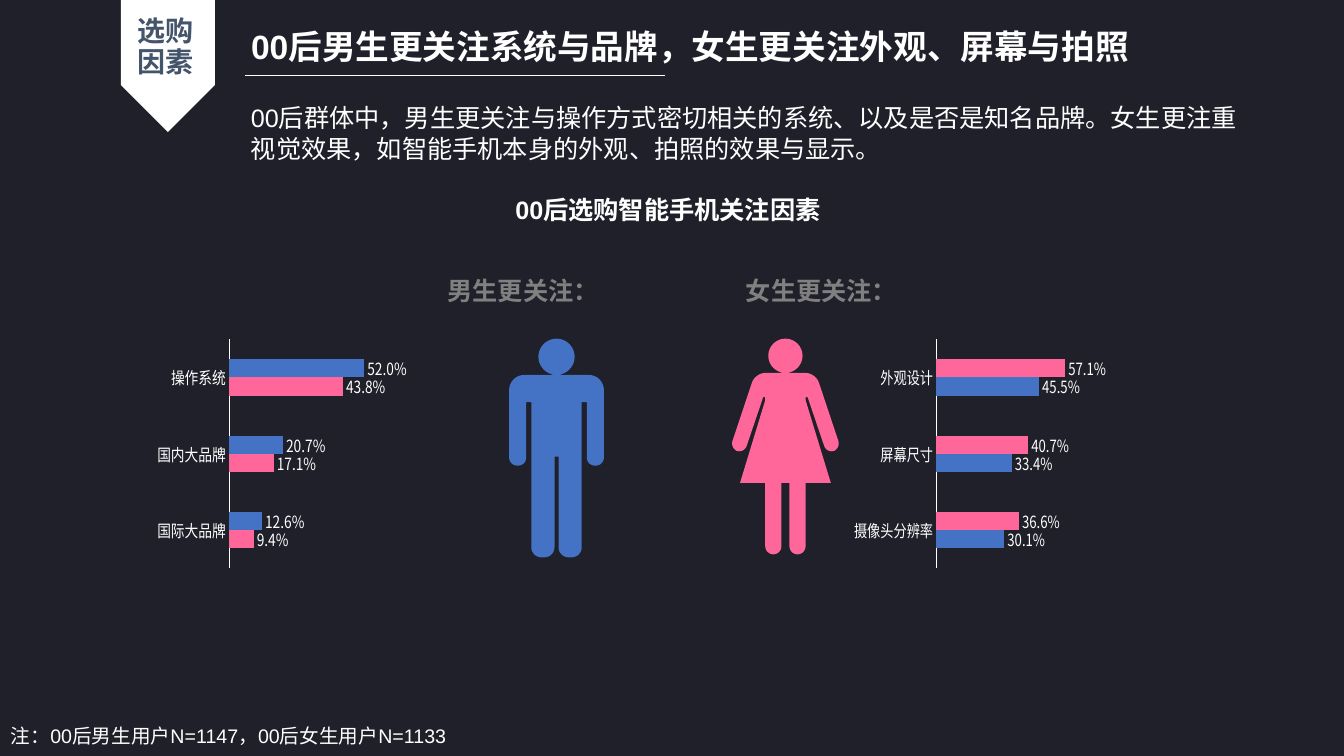
from lxml import etree
from pptx import Presentation
from pptx.chart.data import CategoryChartData
from pptx.dml.color import RGBColor
from pptx.enum.chart import XL_CHART_TYPE, XL_LABEL_POSITION, XL_TICK_LABEL_POSITION, XL_TICK_MARK
from pptx.enum.shapes import MSO_CONNECTOR, MSO_SHAPE
from pptx.enum.text import MSO_ANCHOR, MSO_AUTO_SIZE, PP_ALIGN
from pptx.oxml import parse_xml
from pptx.oxml.ns import nsdecls, qn
from pptx.util import Inches, Pt

BAR = XL_CHART_TYPE.BAR_CLUSTERED
OUTSIDE_END = XL_LABEL_POSITION.OUTSIDE_END
NEXT_TO_AXIS = XL_TICK_LABEL_POSITION.NEXT_TO_AXIS
NO_TICK = XL_TICK_MARK.NONE
STRAIGHT = MSO_CONNECTOR.STRAIGHT
PENTAGON = MSO_SHAPE.PENTAGON
MIDDLE, TOP = MSO_ANCHOR.MIDDLE, MSO_ANCHOR.TOP
FIXED, GROW = MSO_AUTO_SIZE.NONE, MSO_AUTO_SIZE.SHAPE_TO_FIT_TEXT
LEFT, CENTER = PP_ALIGN.LEFT, PP_ALIGN.CENTER

LATIN, CHINESE = "Arial", "Noto Sans CJK SC"
WHITE, BACKGROUND, GRAY, SLATE = "FFFFFF", "1F2029", "808080", "44546A"
BOYS, GIRLS = "4472C4", "FF6699"
PERCENT = "###0.0%"
SECTION_HEADER = 2

# Right half of each figure: offset from its centre line, height, corner radius
MAN_HALF = [
    (0.47, 3.72, 0.15), (0.47, 4.62, 0.08), (0.3, 4.62, 0.08), (0.3, 3.99, 0),
    (0.25, 3.99, 0), (0.25, 5.53, 0.1), (0.02, 5.53, 0.1), (0.02, 4.53, 0),
]
WOMAN_HALF = [
    (0.3, 3.7, 0.1), (0.55, 4.45, 0.08), (0.41, 4.5, 0.08), (0.22, 3.94, 0),
    (0.2, 3.94, 0), (0.2, 3.97, 0), (0.45, 4.79, 0), (0.2, 4.79, 0),
    (0.2, 5.5, 0.08), (0.04, 5.5, 0.08), (0.04, 4.79, 0),
]


def color(value):
    return RGBColor.from_string(value)


def set_attributes(target, values):
    for name, value in values.items():
        setattr(target, name, value)


def set_font(font, size, name=LATIN, fill=WHITE, bold=False):
    set_attributes(font, {"size": Pt(size), "name": name, "bold": bold})
    font.color.rgb = color(fill)


def place(shape, box):
    lengths = (Inches(value) for value in box)
    set_attributes(shape, dict(zip(("left", "top", "width", "height"), lengths)))


def write(shape, text, size, name=LATIN, fill=WHITE, bold=False,
          align=LEFT, anchor=TOP, fit=GROW, spacing=1.0):
    frame = shape.text_frame
    set_attributes(frame, {"word_wrap": True, "auto_size": fit, "vertical_anchor": anchor})
    paragraph = frame.paragraphs[0]
    set_attributes(paragraph, {"alignment": align, "line_spacing": spacing, "space_before": Pt(0)})
    run = paragraph.add_run()
    run.text = text
    set_font(run.font, size, name, fill, bold)
    east_asian = etree.SubElement(run._r.get_or_add_rPr(), qn("a:ea"))
    east_asian.set("typeface", CHINESE)


def add_text(slide, box, text, size, **formats):
    shape = slide.shapes.add_textbox(*(Inches(value) for value in box))
    write(shape, text, size, **formats)


def add_banner(slide):
    banner = slide.shapes.add_shape(PENTAGON, 0, 0, 0, 0)
    place(banner, (1.01, 0.19, 1.31, 0.93))
    banner.rotation = 90
    banner.shadow.inherit = False
    banner.fill.solid()
    banner.fill.fore_color.rgb = color(WHITE)
    banner.line.fill.background()
    slide.shapes._spTree.insert(2, banner._element)  # behind the placeholders


def add_rule(slide):
    rule = slide.shapes.add_connector(STRAIGHT, Inches(2.43), Inches(0.75), Inches(6.6), Inches(0.75))
    rule.line.color.rgb = color(WHITE)
    rule.line.width = Pt(0.5)
    etree.SubElement(rule._element.spPr, qn("a:effectLst"))


def toward(start, end, share):
    return tuple(a + (b - a) * share for a, b in zip(start, end))


def rounded_outline(corners, steps=8):
    """Points, as lengths, of a closed polygon whose corners (x, y, radius) are rounded."""
    points = []
    for index, (x, y, radius) in enumerate(corners):
        corner = (x, y)
        if not radius:
            points.append(corner)
            continue
        ends = []
        for neighbor in (corners[index - 1], corners[(index + 1) % len(corners)]):
            distance = ((neighbor[0] - x) ** 2 + (neighbor[1] - y) ** 2) ** 0.5
            ends.append(toward(corner, neighbor[:2], radius / distance))
        start, end = ends
        first, second = toward(start, corner, 0.55), toward(end, corner, 0.55)
        for step in range(steps + 1):
            t = step / steps
            weights = ((1 - t) ** 3, 3 * t * (1 - t) ** 2, 3 * t * t * (1 - t), t ** 3)
            curve = zip(start, first, second, end)
            points.append(tuple(sum(w * v for w, v in zip(weights, values)) for values in curve))
    return [(Inches(x), Inches(y)) for x, y in points]


def add_figure(slide, center, half, head_center, head_radius, fill):
    right = [(center + dx, y, radius) for dx, y, radius in half]
    left = [(center - dx, y, radius) for dx, y, radius in reversed(half)]
    signs = ((-1, -1), (1, -1), (1, 1), (-1, 1))
    head = [(center + sx * head_radius, head_center + sy * head_radius, head_radius) for sx, sy in signs]
    body_points, head_points = rounded_outline(right + left), rounded_outline(head)
    builder = slide.shapes.build_freeform(*body_points[0])
    builder.add_line_segments(body_points[1:], close=True)
    builder.move_to(*head_points[0])
    builder.add_line_segments(head_points[1:], close=True)
    figure = builder.convert_to_shape()
    figure.shadow.inherit = False
    figure.fill.solid()
    figure.fill.fore_color.rgb = color(fill)
    figure.line.fill.background()


def set_plot_layout(chart, box):
    parts = "".join(f'<c:{name} val="{value}"/>' for name, value in zip("xywh", box))
    layout = parse_xml(
        f'<c:layout {nsdecls("c")}><c:manualLayout><c:layoutTarget val="inner"/>'
        f'<c:xMode val="edge"/><c:yMode val="edge"/>{parts}</c:manualLayout></c:layout>')
    plot_area = chart._chartSpace.chart.plotArea
    for old in plot_area.findall(qn("c:layout")):
        plot_area.remove(old)
    plot_area.insert(0, layout)


def add_bars(slide, left, plot_width, categories, series):
    data = CategoryChartData(number_format=PERCENT)
    data.categories = categories
    for name, values, _ in series:
        data.add_series(name, values)
    box = (Inches(value) for value in (left, 3.29, 3.4, 2.42))
    chart = slide.shapes.add_chart(BAR, *box, data).chart
    set_attributes(chart, {"has_legend": False, "has_title": False})
    set_font(chart.font, 12, CHINESE)
    set_plot_layout(chart, (0.033, 0.031, plot_width, 0.94))

    axis = chart.category_axis
    set_attributes(axis, {
        "reverse_order": True, "major_tick_mark": NO_TICK, "minor_tick_mark": NO_TICK,
        "tick_label_position": NEXT_TO_AXIS, "has_major_gridlines": False})
    set_font(axis.tick_labels.font, 12, CHINESE)
    axis.format.line.color.rgb = color(WHITE)
    axis.format.line.width = Pt(0.75)
    set_attributes(chart.value_axis, {
        "visible": False, "has_major_gridlines": False, "minimum_scale": 0, "maximum_scale": 0.6})

    plot = chart.plots[0]
    set_attributes(plot, {"gap_width": 219, "overlap": 0, "vary_by_categories": False})
    for bars, (_, _, fill) in zip(plot.series, series):
        bars.format.fill.solid()
        bars.format.fill.fore_color.rgb = color(fill)
        labels = bars.data_labels
        set_attributes(labels, {
            "show_value": True, "number_format": PERCENT,
            "number_format_is_linked": False, "position": OUTSIDE_END})
        set_font(labels.font, 12, CHINESE)


def main():
    presentation = Presentation()
    set_attributes(presentation, {"slide_width": Inches(13.33), "slide_height": Inches(7.5)})
    slide = presentation.slides.add_slide(presentation.slide_layouts[SECTION_HEADER])
    slide.background.fill.solid()
    slide.background.fill.fore_color.rgb = color(BACKGROUND)

    add_banner(slide)
    add_rule(slide)
    title, topic = slide.shapes.title, slide.placeholders[1]
    place(title, (2.39, 0.27, 10.4, 0.42))
    write(title, "00后男生更关注系统与品牌，女生更关注外观、屏幕与拍照", 24,
          bold=True, anchor=MIDDLE, fit=FIXED, spacing=0.9)
    place(topic, (1.24, 0.12, 0.81, 0.71))
    write(topic, "选购因素", 20, fill=SLATE, bold=True,
          align=CENTER, anchor=MIDDLE, fit=FIXED, spacing=0.9)

    add_text(slide, (2.39, 0.97, 10.01, 0.71),
             "00后群体中，男生更关注与操作方式密切相关的系统、以及是否是知名品牌。"
             "女生更注重视觉效果，如智能手机本身的外观、拍照的效果与显示。", 18)
    add_text(slide, (4.98, 1.88, 3.29, 0.4), "00后选购智能手机关注因素", 18, bold=True, align=CENTER)
    for left, heading in ((4.34, "男生更关注："), (7.3, "女生更关注：")):
        add_text(slide, (left, 2.68, 2.03, 0.4), heading, 18, name=CHINESE, fill=GRAY, bold=True)

    add_figure(slide, 5.52, MAN_HALF, 3.54, 0.18, BOYS)
    add_figure(slide, 7.79, WOMAN_HALF, 3.53, 0.17, GIRLS)
    add_bars(slide, 1.56, 0.556, ["操作系统", "国内大品牌", "国际大品牌"],
             [("男生", (0.52, 0.207, 0.126), BOYS), ("女生", (0.438, 0.171, 0.094), GIRLS)])
    add_bars(slide, 8.47, 0.503, ["外观设计", "屏幕尺寸", "摄像头分辨率"],
             [("女生", (0.571, 0.407, 0.366), GIRLS), ("男生", (0.455, 0.334, 0.301), BOYS)])
    add_text(slide, (0.01, 7.13, 5.59, 0.34), "注：00后男生用户N=1147，00后女生用户N=1133", 14)
    presentation.save("out.pptx")


if __name__ == "__main__":
    main()
